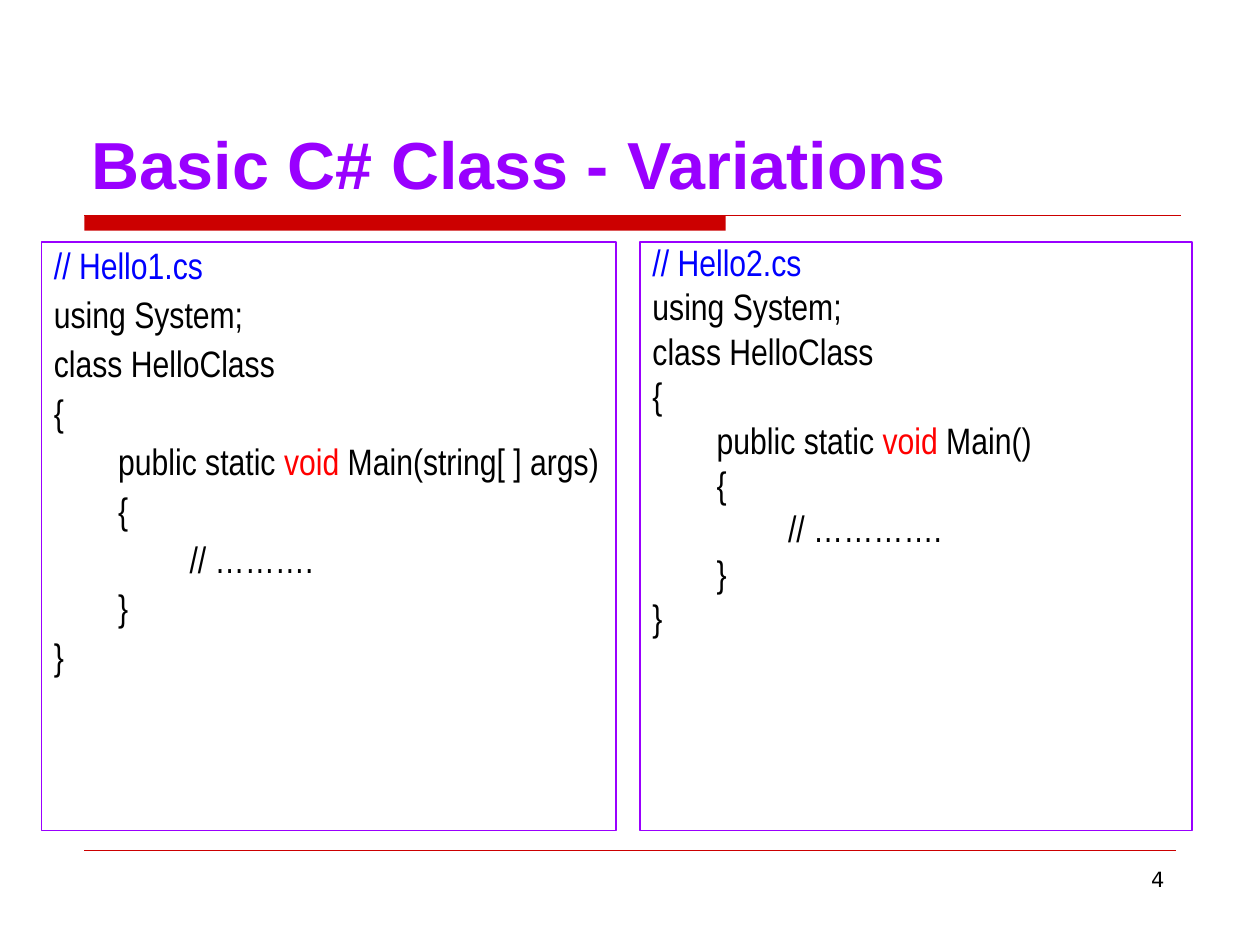
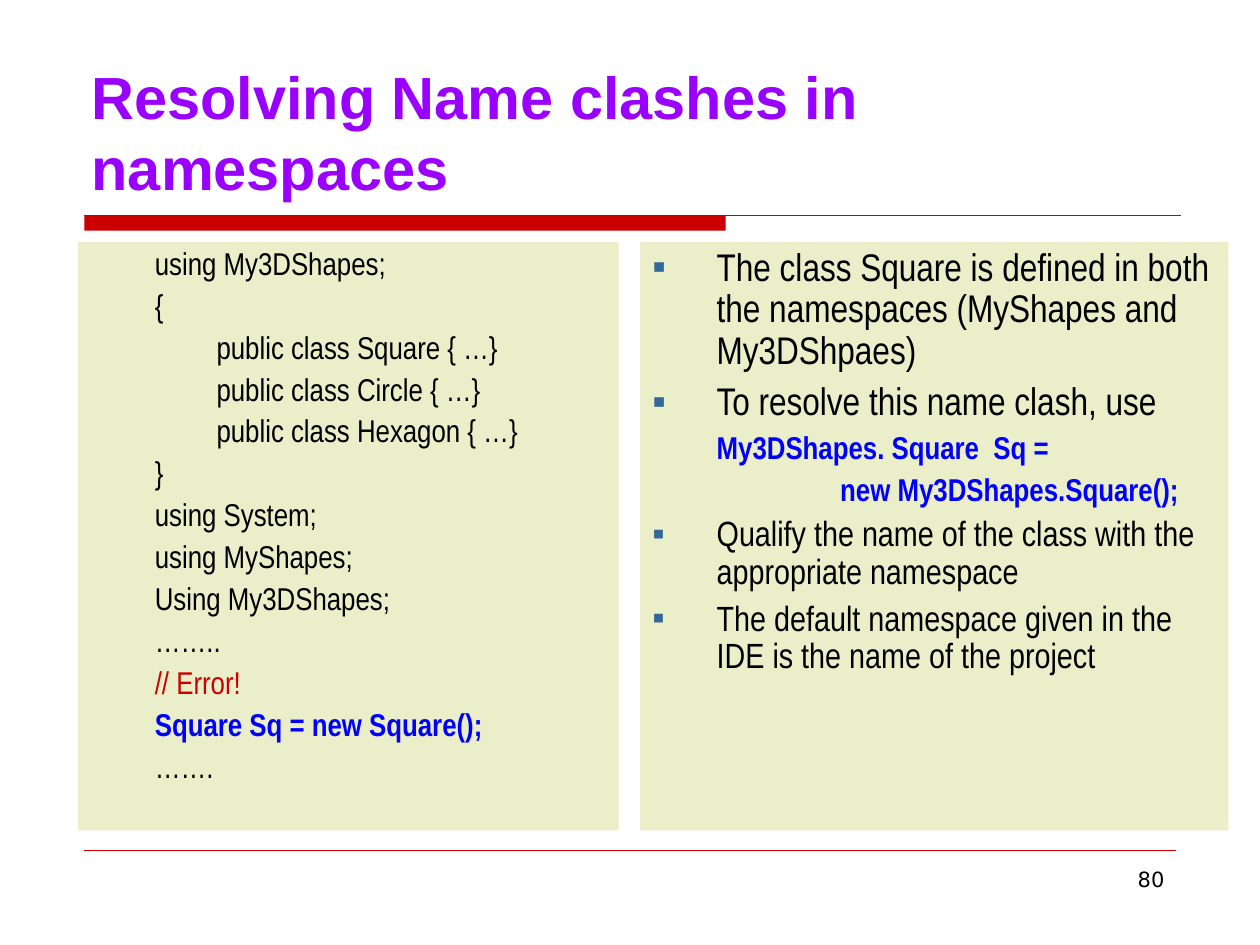
"""Build two C# course slides: class variations and namespace name clashes."""
import pptx
import pptx.dml.color
import pptx.enum.shapes
import pptx.enum.text
import pptx.util
from lxml import etree
from pptx.dml.color import RGBColor
from pptx.util import Inches, Pt

PURPLE = RGBColor(0x99, 0x00, 0xFF)
DARK_RED = RGBColor(0xCC, 0x00, 0x00)
RED = RGBColor(0xFF, 0x00, 0x00)
BLUE = RGBColor(0x00, 0x00, 0xFF)
BLACK = RGBColor(0x00, 0x00, 0x00)
CREAM = RGBColor(0xEB, 0xEF, 0xC9)
BULLET_BLUE = RGBColor(0x33, 0x66, 0x99)

PLAIN = (BLACK, False)
COMMENT = (BLUE, False)
KEYWORD = (RED, False)
ERROR = (DARK_RED, False)
STRONG_CODE = (BLUE, True)

INDENTS = [(0.51, -0.51), (0.99, -0.48), (1.43, -0.43)]
PANEL_TOP, PANEL_HEIGHT = 1.92, 4.67
RIGHT_PANEL_LEFT = 5.08
RECTANGLE = pptx.enum.shapes.MSO_SHAPE.RECTANGLE
STRAIGHT = pptx.enum.shapes.MSO_CONNECTOR.STRAIGHT
DRAWING = "{http://schemas.openxmlformats.org/drawingml/2006/main}"


def add_label(slide, box, text, font_name, size, color):
    label = slide.shapes.add_textbox(*[Inches(length) for length in box])
    label.text_frame.word_wrap = True
    label.text_frame.text = text
    paragraph = label.text_frame.paragraphs[0]
    paragraph.font.name = font_name
    paragraph.font.size = Pt(size)
    paragraph.font.color.rgb = color
    return label


def add_panel(slide, left, width, lines, fill=None, border=None, spacing=0.9, bulleted=False):
    panel = slide.shapes.add_shape(
        RECTANGLE, Inches(left), Inches(PANEL_TOP), Inches(width), Inches(PANEL_HEIGHT))
    panel.shadow.inherit = False
    panel.fill.background()
    panel.line.fill.background()
    if fill:
        panel.fill.solid()
        panel.fill.fore_color.rgb = fill
    if border:
        panel.line.color.rgb = border
        panel.line.width = Pt(0.75)
    frame = panel.text_frame
    frame.word_wrap = True
    frame.vertical_anchor = pptx.enum.text.MSO_ANCHOR.TOP
    for index, (level, size, runs) in enumerate(lines):
        paragraph = frame.add_paragraph() if index else frame.paragraphs[0]
        paragraph.alignment = pptx.enum.text.PP_ALIGN.LEFT
        paragraph.line_spacing = spacing
        if index:
            paragraph.space_before = Pt(size * 0.25)
        properties = paragraph._p.get_or_add_pPr()
        margin, indent = INDENTS[level]
        properties.set("marL", str(Inches(margin)))
        properties.set("indent", str(Inches(indent)))
        if bulleted and level == 0:
            bullet_color = etree.SubElement(properties, DRAWING + "buClr")
            etree.SubElement(bullet_color, DRAWING + "srgbClr", val=str(BULLET_BLUE))
            etree.SubElement(properties, DRAWING + "buFont", typeface="Arial")
            etree.SubElement(properties, DRAWING + "buChar", char="▪")
        else:
            etree.SubElement(properties, DRAWING + "buNone")
        tab_list = etree.SubElement(properties, DRAWING + "tabLst")
        for stop in range(8):
            etree.SubElement(tab_list, DRAWING + "tab", pos=str(Inches(stop)), algn="l")
        for text, (color, bold) in runs:
            run = paragraph.add_run()
            run.text = text
            run.font.name = "Arial Narrow"
            run.font.size = Pt(size)
            run.font.bold = bold
            run.font.color.rgb = color


presentation = pptx.Presentation()
presentation.slide_width = Inches(10)
presentation.slide_height = Inches(7.5)

slides = []
for title, title_size, number in [
    ("Basic C# Class - Variations", 38, "4"),
    ("Resolving Name clashes in namespaces", 34, "80"),
]:
    slide = presentation.slides.add_slide(presentation.slide_layouts[6])
    slides.append(slide)

    band = slide.shapes.add_shape(
        RECTANGLE, Inches(0.67), Inches(1.71), Inches(5.09), Inches(0.12))
    band.shadow.inherit = False
    band.fill.solid()
    band.fill.fore_color.rgb = DARK_RED
    band.line.fill.background()

    for right, height, weight in [(9.37, 1.71, 0.75), (9.33, 6.75, 0.25)]:
        rule = slide.shapes.add_connector(
            STRAIGHT, Inches(0.67), Inches(height), Inches(right), Inches(height))
        rule.line.color.rgb = DARK_RED
        rule.line.width = Pt(weight)
        etree.SubElement(rule._element.spPr, DRAWING + "effectLst")

    number_label = add_label(slide, (7.17, 6.83, 2.17, 0.52), number, "DejaVu Sans", 12, BLACK)
    number_label.text_frame.paragraphs[0].alignment = pptx.enum.text.PP_ALIGN.RIGHT
    title_label = add_label(slide, (0.63, 0.33, 8.75, 1.33), title, "Arial", title_size, PURPLE)
    title_label.text_frame.vertical_anchor = pptx.enum.text.MSO_ANCHOR.BOTTOM
    title_label.text_frame.paragraphs[0].font.bold = True

variations_slide, clashes_slide = slides

for left, width, spacing, file_name, arguments, dots in [
    (0.33, 4.56, 0.9, "Hello1.cs", "string[ ] args", "……….",),
    (RIGHT_PANEL_LEFT, 4.38, 0.8, "Hello2.cs", "", "…………."),
]:
    program = [
        [("// " + file_name, COMMENT)],
        [("using System;", PLAIN)],
        [("class HelloClass", PLAIN)],
        [("{", PLAIN)],
        [("\tpublic static ", PLAIN), ("void", KEYWORD), (f" Main({arguments})", PLAIN)],
        [("\t{", PLAIN)],
        [("\t\t // " + dots, PLAIN)],
        [("\t}", PLAIN)],
        [("}", PLAIN)],
    ]
    add_panel(variations_slide, left, width, [(0, 21, runs) for runs in program],
              border=PURPLE, spacing=spacing)

clash_code = [
    (1, "using My3DShapes;", PLAIN),
    (1, "{", PLAIN),
    (2, "public class Square { …}", PLAIN),
    (2, "public class Circle { …}", PLAIN),
    (2, "public class Hexagon { …}", PLAIN),
    (1, "}", PLAIN),
    (1, "using System;", PLAIN),
    (1, "using MyShapes;", PLAIN),
    (1, "Using My3DShapes;", PLAIN),
    (1, "……..", PLAIN),
    (1, "// Error!", ERROR),
    (1, "Square Sq = new Square();", STRONG_CODE),
    (1, "…….", PLAIN),
]
add_panel(clashes_slide, 0.62, 4.29,
          [(level, 18, [(text, style)]) for level, text, style in clash_code], fill=CREAM)

resolution_notes = [
    (0, 22, "The class Square is defined in both the namespaces (MyShapes and My3DShpaes)", PLAIN),
    (0, 22, "To resolve this name clash, use", PLAIN),
    (1, 18, "My3DShapes. Square  Sq =", STRONG_CODE),
    (1, 18, "\t\tnew My3DShapes.Square();", STRONG_CODE),
    (0, 20, "Qualify the name of the class with the appropriate namespace", PLAIN),
    (0, 20, "The default namespace given in the IDE is the name of the project", PLAIN),
]
add_panel(clashes_slide, RIGHT_PANEL_LEFT, 4.67,
          [(level, size, [(text, style)]) for level, size, text, style in resolution_notes],
          fill=CREAM, bulleted=True)

presentation.save("out.pptx")
